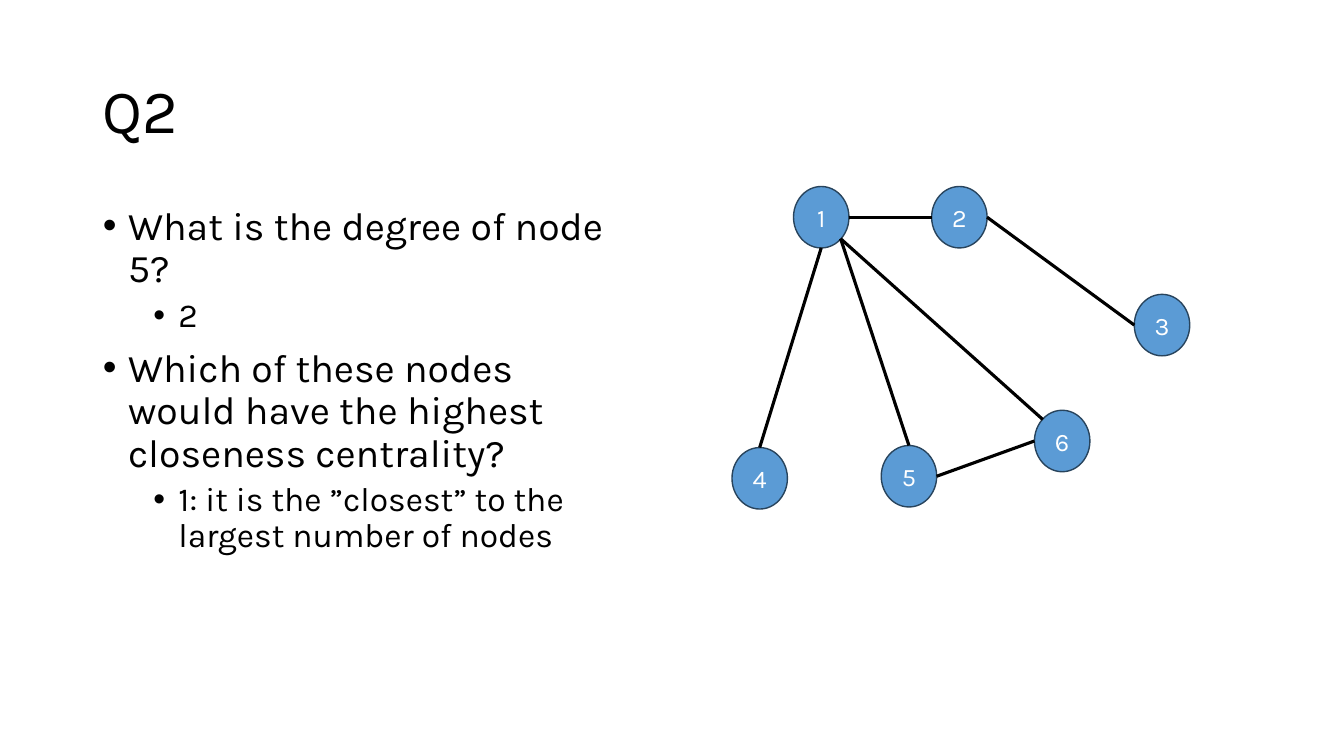
from lxml import etree
from pptx import Presentation
from pptx.dml.color import RGBColor
from pptx.enum.shapes import MSO_CONNECTOR, MSO_SHAPE
from pptx.enum.text import MSO_ANCHOR, MSO_AUTO_SIZE, PP_ALIGN
from pptx.oxml.ns import qn
from pptx.util import Inches, Pt

OVAL = MSO_SHAPE.OVAL
STRAIGHT = MSO_CONNECTOR.STRAIGHT
MIDDLE, TOP = MSO_ANCHOR.MIDDLE, MSO_ANCHOR.TOP
LEFT, CENTER = PP_ALIGN.LEFT, PP_ALIGN.CENTER
NO_FIT = MSO_AUTO_SIZE.NONE

BLACK = RGBColor(0x00, 0x00, 0x00)
WHITE = RGBColor(0xFF, 0xFF, 0xFF)
BLUE = RGBColor(0x5B, 0x9B, 0xD5)
NAVY = RGBColor(0x28, 0x44, 0x5D)
FONT = "Karla"


def write(para, text, size, color=BLACK, align=LEFT, spacing=1.0, before=0):
    para.alignment = align
    para.line_spacing = spacing
    para.space_before = Pt(before)
    run = para.add_run()
    run.text = text
    run.font.name = FONT
    run.font.size = Pt(size)
    run.font.color.rgb = color


def place(holder, left, top, width, height, anchor):
    """Move a placeholder and return its text frame, with fixed text size."""
    holder.left, holder.top = Inches(left), Inches(top)
    holder.width, holder.height = Inches(width), Inches(height)
    frame = holder.text_frame
    frame.word_wrap = True
    frame.auto_size = NO_FIT
    frame.vertical_anchor = anchor
    return frame


prs = Presentation()
prs.slide_width, prs.slide_height = Inches(13.33), Inches(7.5)
slide = prs.slides.add_slide(prs.slide_layouts[1])
shapes = slide.shapes

# Title
frame = place(shapes.title, 0.92, 0.4, 11.5, 1.45, MIDDLE)
write(frame.paragraphs[0], "Q2", 44, spacing=0.9)

# Questions and answers
points = [
    (0, "What is the degree of node 5?"),
    (1, "2"),
    (0, "Which of these nodes would have the highest closeness centrality?"),
    (1, "1: it is the ”closest” to the largest number of nodes"),
]
frame = place(slide.placeholders[1], 0.92, 2, 5.42, 4.76, TOP)
for i, (level, text) in enumerate(points):
    para = frame.add_paragraph() if i else frame.paragraphs[0]
    para.level = level
    write(para, text, 28 - 4 * level, spacing=0.9, before=10 - 5 * level)
    props = para._p.get_or_add_pPr()
    props.set("marL", str(Inches(0.25 + 0.5 * level)))
    props.set("indent", str(Inches(-0.25)))
    etree.SubElement(props, qn("a:buFont")).set("typeface", "Arial")
    etree.SubElement(props, qn("a:buChar")).set("char", "•")

# Graph nodes: left and top of each
WIDE, HIGH = 0.55, 0.61
nodes = {
    1: (7.87, 1.85),
    2: (9.24, 1.85),
    3: (11.25, 2.92),
    4: (7.26, 4.44),
    5: (8.74, 4.42),
    6: (10.26, 4.07),
}
for name, (x, y) in nodes.items():
    node = shapes.add_shape(OVAL, Inches(x), Inches(y), Inches(WIDE), Inches(HIGH))
    node.shadow.inherit = False
    node.fill.solid()
    node.fill.fore_color.rgb = BLUE
    node.line.color.rgb = NAVY
    node.line.width = Pt(1)
    node.text_frame.vertical_anchor = MIDDLE
    write(node.text_frame.paragraphs[0], str(name), 18, WHITE, CENTER)

# Graph edges: each end is a node and a point on its rim, as shares of its box
sites = {
    "top": (0.5, 0),
    "bottom": (0.5, 1),
    "left": (0, 0.5),
    "right": (1, 0.5),
    "upper left": (0.15, 0.15),
    "lower right": (0.85, 0.85),
}
edges = [
    (1, "bottom", 4, "top"),
    (1, "right", 2, "left"),
    (1, "lower right", 5, "top"),
    (6, "left", 5, "right"),
    (3, "left", 2, "right"),
    (1, "lower right", 6, "upper left"),
]
for start, out, end, into in edges:
    ends = []
    for name, site in ((start, out), (end, into)):
        (x, y), (across, down) = nodes[name], sites[site]
        ends += [Inches(x + WIDE * across), Inches(y + HIGH * down)]
    edge = shapes.add_connector(STRAIGHT, *ends)
    edge.line.color.rgb = BLACK
    edge.line.width = Pt(2.25)
    etree.SubElement(edge._element.spPr, qn("a:effectLst"))

prs.save("out.pptx")
